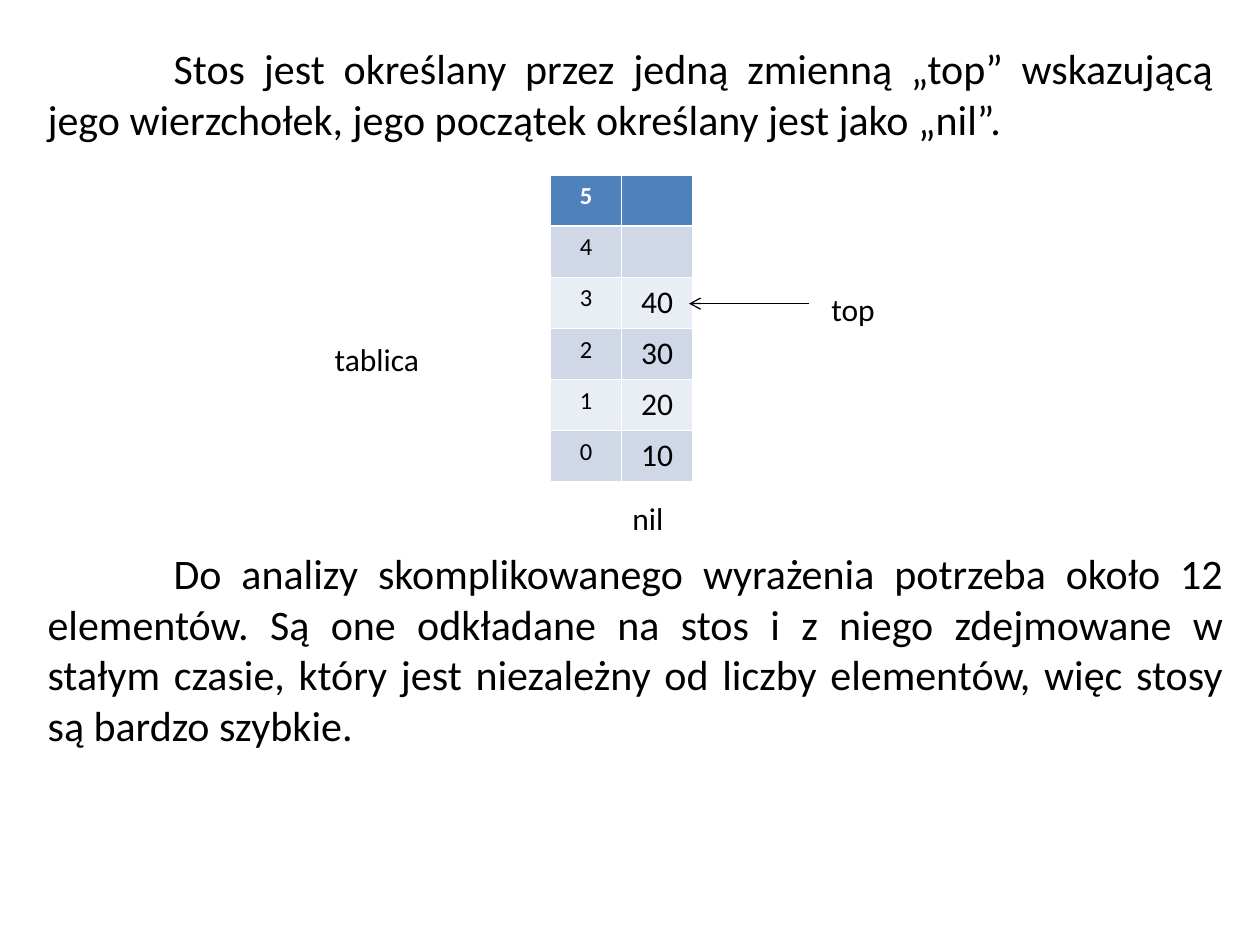
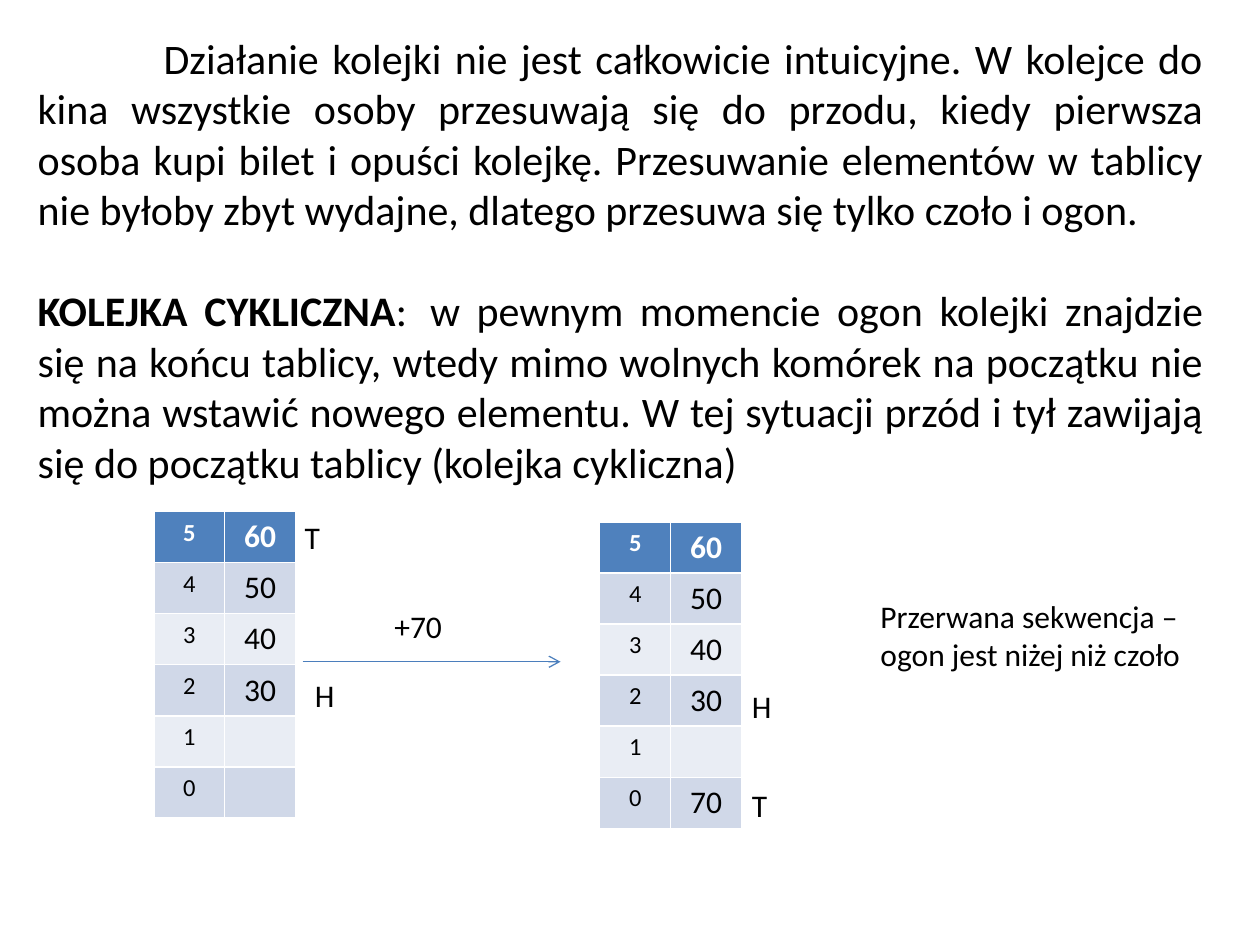
from dataclasses import dataclass

from lxml import etree
from pptx import Presentation
from pptx.dml.color import RGBColor
from pptx.enum.shapes import MSO_CONNECTOR
from pptx.enum.text import MSO_AUTO_SIZE, PP_ALIGN
from pptx.oxml.ns import qn
from pptx.util import Cm, Pt

LEFT, RIGHT = PP_ALIGN.LEFT, PP_ALIGN.RIGHT
CENTER, JUSTIFY = PP_ALIGN.CENTER, PP_ALIGN.JUSTIFY
STRAIGHT = MSO_CONNECTOR.STRAIGHT
GROW = MSO_AUTO_SIZE.SHAPE_TO_FIT_TEXT


@dataclass(frozen=True)
class Theme:
    font: str = "Calibri"
    body: int = 24
    label: int = 18
    index: int = 14
    ink: str = "000000"
    paper: str = "FFFFFF"
    head: str = "4F81BD"
    bands: tuple = ("D0D8E8", "E9EDF4")
    arrow: str = "4B7EBC"


THEME = Theme()
INDENT = Cm(2.54)
GAP = Pt(29)
COL, ROW = Cm(1.43), Cm(1.03)
LINE = 1.02


def color(code):
    return RGBColor.from_string(code)


def style(par, size, align=LEFT, ink=THEME.ink):
    par.alignment = align
    par.font.name = THEME.font
    par.font.size = Pt(size)
    par.font.color.rgb = color(ink)


def add_frame(slide, left, top, width, height):
    box = slide.shapes.add_textbox(Cm(left), Cm(top), Cm(width), Cm(height))
    frame = box.text_frame
    frame.word_wrap = True
    frame.auto_size = GROW
    return frame


def add_label(slide, text, left, top, width, height=LINE, align=LEFT):
    par = add_frame(slide, left, top, width, height).paragraphs[0]
    par.text = text
    style(par, THEME.label, align)


def add_prose(slide, text, left, top, width, height):
    """Add a justified paragraph with an indented first line."""
    frame = add_frame(slide, left, top, width, height)
    par = frame.paragraphs[0]
    par.text = text
    par._p.get_or_add_pPr().set("indent", str(INDENT))
    style(par, THEME.body, JUSTIFY)
    return frame


def add_term(frame, term, text):
    """Add a paragraph that opens with a bold term."""
    par = frame.add_paragraph()
    par.space_before = GAP
    style(par, THEME.body, JUSTIFY)
    for part, bold in ((term, True), (text, False)):
        run = par.add_run()
        run.text = part
        run.font.bold = bold


def add_array(slide, values, left, top):
    """Draw array cells, highest index first; None leaves a cell empty."""
    count = len(values)
    table = slide.shapes.add_table(
        count, 2, Cm(left), Cm(top), 2 * COL, count * ROW).table
    for col in table.columns:
        col.width = COL
    for num, value in enumerate(values):
        table.rows[num].height = ROW
        fill = THEME.bands[(num - 1) % 2] if num else THEME.head
        ink = THEME.ink if num else THEME.paper
        pair = ((count - 1 - num, THEME.index), (value, THEME.label))
        for col, (item, size) in enumerate(pair):
            cell = table.cell(num, col)
            cell.fill.solid()
            cell.fill.fore_color.rgb = color(fill)
            par = cell.text_frame.paragraphs[0]
            par.text = "" if item is None else str(item)
            style(par, size, CENTER, ink)
            par.font.bold = num == 0


def add_arrow(slide, start, end, level, ink):
    """Draw a level arrow from start to end."""
    arrow = slide.shapes.add_connector(
        STRAIGHT, Cm(start), Cm(level), Cm(end), Cm(level))
    arrow.line.color.rgb = color(ink)
    arrow.line.width = Pt(0.75)
    etree.SubElement(arrow.line._get_or_add_ln(), qn("a:tailEnd"), type="arrow")
    etree.SubElement(arrow._element.spPr, qn("a:effectLst"))


def draw_stack(slide):
    add_prose(slide, "Stos jest określany przez jedną zmienną „top” wskazującą "
              "jego wierzchołek, jego początek określany jest jako „nil”.",
              0.71, 0.74, 24, 2.31)
    add_array(slide, (None, None, 40, 30, 20, 10), 11.1, 3.53)
    add_arrow(slide, 16.31, 13.89, 6.12, THEME.ink)
    add_label(slide, "nil", 12.5, 9.93, 1.4)
    add_label(slide, "top", 16.51, 5.72, 4)
    add_prose(slide, "Do analizy skomplikowanego wyrażenia potrzeba około 12 "
              "elementów. Są one odkładane na stos i z niego zdejmowane w "
              "stałym czasie, który jest niezależny od liczby elementów, "
              "więc stosy są bardzo szybkie.", 0.71, 10.92, 24.2, 4.37)
    add_label(slide, "tablica", 2.9, 6.73, 5.8, align=RIGHT)


def draw_queue(slide):
    frame = add_prose(
        slide, "Działanie kolejki nie jest całkowicie intuicyjne. W kolejce do "
        "kina wszystkie osoby przesuwają się do przodu, kiedy pierwsza osoba "
        "kupi bilet i opuści kolejkę. Przesuwanie elementów w tablicy nie "
        "byłoby zbyt wydajne, dlatego przesuwa się tylko czoło i ogon.",
        0.51, 0.53, 24, 9.5)
    add_term(frame, "KOLEJKA CYKLICZNA",
             ": \tw pewnym momencie ogon kolejki znajdzie się na końcu "
             "tablicy, wtedy mimo wolnych komórek na początku nie można "
             "wstawić nowego elementu. W tej sytuacji przód i tył zawijają "
             "się do początku tablicy (kolejka cykliczna)")
    add_array(slide, (60, 50, 40, 30, None, None), 3.1, 10.31)
    add_array(slide, (60, 50, 40, 30, None, 70), 12.09, 10.52)
    add_arrow(slide, 6.1, 11.3, 13.34, THEME.arrow)
    for text, left, top in (("H", 6.1, 13.51), ("T", 5.89, 10.31),
                            ("+70", 7.7, 12.12),
                            ("T", 14.91, 15.72), ("H", 14.91, 13.72)):
        add_label(slide, text, left, top, 3.2)
    add_label(slide, "Przerwana sekwencja – ogon jest niżej niż czoło",
              17.5, 11.91, 7.39, 1.8)


def main():
    deck = Presentation()
    deck.slide_width, deck.slide_height = Cm(25.4), Cm(19.05)
    blank = deck.slide_layouts[6]
    for draw in (draw_stack, draw_queue):
        draw(deck.slides.add_slide(blank))
    deck.save("out.pptx")


if __name__ == "__main__":
    main()
